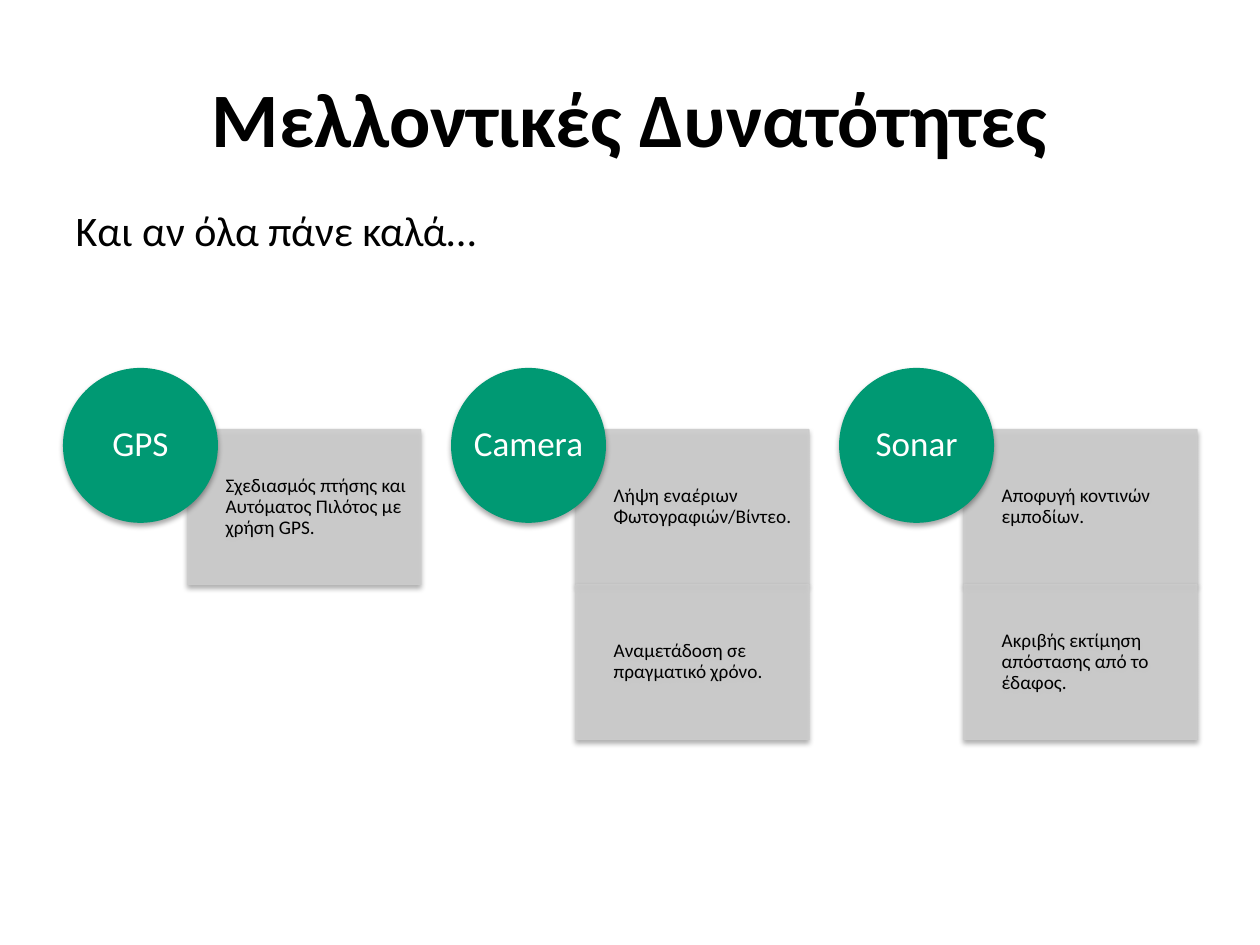
"""Build the slide of future capabilities: three topics with their detail boxes."""
from lxml.etree import SubElement
from pptx import Presentation
from pptx.dml.color import RGBColor
from pptx.enum.shapes import MSO_SHAPE
from pptx.enum.text import MSO_ANCHOR, MSO_AUTO_SIZE, PP_ALIGN
from pptx.oxml.ns import qn
from pptx.util import Inches, Pt

BLACK = RGBColor(0x00, 0x00, 0x00)
WHITE = RGBColor(0xFF, 0xFF, 0xFF)
GREEN = RGBColor(0x00, 0x99, 0x73)
GREY = RGBColor(0xCC, 0xCC, 0xCC)

MARGIN = 0.5
COLUMN_STEP = 3.08
CIRCLE_TOP, CIRCLE_SIZE = 2.92, 1.23
BOX_OFFSET, BOX_TOP = 0.99, 3.41
BOX_WIDTH, BOX_HEIGHT = 1.85, 1.23

TOPICS = {
    "GPS": ["Σχεδιασμός πτήσης και Αυτόματος Πιλότος με χρήση GPS."],
    "Camera": ["Λήψη εναέριων Φωτογραφιών/Βίντεο.", "Αναμετάδοση σε πραγματικό χρόνο."],
    "Sonar": ["Αποφυγή κοντινών εμποδίων.", "Ακριβής εκτίμηση απόστασης από το έδαφος."],
}


def write(shape, text, size, color, align, anchor, insets, wrap=True, bold=False):
    frame = shape.text_frame
    frame.text = text
    frame.auto_size = MSO_AUTO_SIZE.NONE
    frame.word_wrap = wrap
    frame.vertical_anchor = anchor
    for side, inset in zip(("left", "top", "right", "bottom"), insets):
        setattr(frame, f"margin_{side}", Inches(inset))
    paragraph = frame.paragraphs[0]
    paragraph.alignment = align
    style = {"name": "Calibri", "size": Pt(size), "bold": bold}
    for name, value in style.items():
        setattr(paragraph.runs[0].font, name, value)
    paragraph.runs[0].font.color.rgb = color
    return paragraph


def add_card(page, kind, area, fill, opacity=100):
    card = page.shapes.add_shape(kind, *map(Inches, area))
    card.shadow.inherit = False
    card.fill.solid()
    card.fill.fore_color.rgb = fill
    card.line.fill.background()
    if opacity < 100:
        card.line.color.rgb = fill
        card.line.width = Pt(0.75)
        for color in list(card._element.spPr.iter(qn("a:srgbClr"))):
            SubElement(color, qn("a:alpha"), val=str(opacity * 1000))
    effects = card._element.spPr.find(qn("a:effectLst"))
    shadow = SubElement(effects, qn("a:outerShdw"), blurRad=str(Pt(3.1)),
                        dist=str(Pt(1.8)), dir="5400000", rotWithShape="0")
    shade = SubElement(shadow, qn("a:srgbClr"), val=str(BLACK))
    SubElement(shade, qn("a:alpha"), val="35000")
    return card


deck = Presentation()
deck.slide_width, deck.slide_height = Inches(10), Inches(7.5)
page = deck.slides.add_slide(deck.slide_layouts[1])

title, intro = page.shapes.title, page.placeholders[1]
for holder, top, height in ((title, 0.3, 1.25), (intro, 1.57, 0.58)):
    holder.left, holder.top = Inches(MARGIN), Inches(top)
    holder.width, holder.height = Inches(9), Inches(height)

default_insets = (0.1, 0.05, 0.1, 0.05)
write(title, "Μελλοντικές Δυνατότητες", 44, BLACK, PP_ALIGN.CENTER,
      MSO_ANCHOR.MIDDLE, default_insets, bold=True)
line = write(intro, "Και αν όλα πάνε καλά…", 24, BLACK, PP_ALIGN.LEFT,
             MSO_ANCHOR.TOP, default_insets)
line.space_before = Pt(8)
properties = line._p.get_or_add_pPr()
properties.set("marL", "0")
properties.set("indent", "0")
SubElement(properties, qn("a:buNone"))

for column, (topic, details) in enumerate(TOPICS.items()):
    left = MARGIN + column * COLUMN_STEP
    for row, detail in enumerate(details):
        area = (left + BOX_OFFSET, BOX_TOP + row * BOX_HEIGHT, BOX_WIDTH, BOX_HEIGHT)
        box = add_card(page, MSO_SHAPE.RECTANGLE, area, GREY, opacity=90)
        para = write(box, detail, 11, BLACK, PP_ALIGN.LEFT, MSO_ANCHOR.MIDDLE,
                     (0.3, 0.09, 0.09, 0.09))
        para.line_spacing = 0.9
    area = (left, CIRCLE_TOP, CIRCLE_SIZE, CIRCLE_SIZE)
    circle = add_card(page, MSO_SHAPE.OVAL, area, GREEN)
    para = write(circle, topic, 20, WHITE, PP_ALIGN.CENTER, MSO_ANCHOR.MIDDLE,
                 (0, 0, 0, 0), wrap=False)
    para.line_spacing = 0.9

deck.save("out.pptx")
